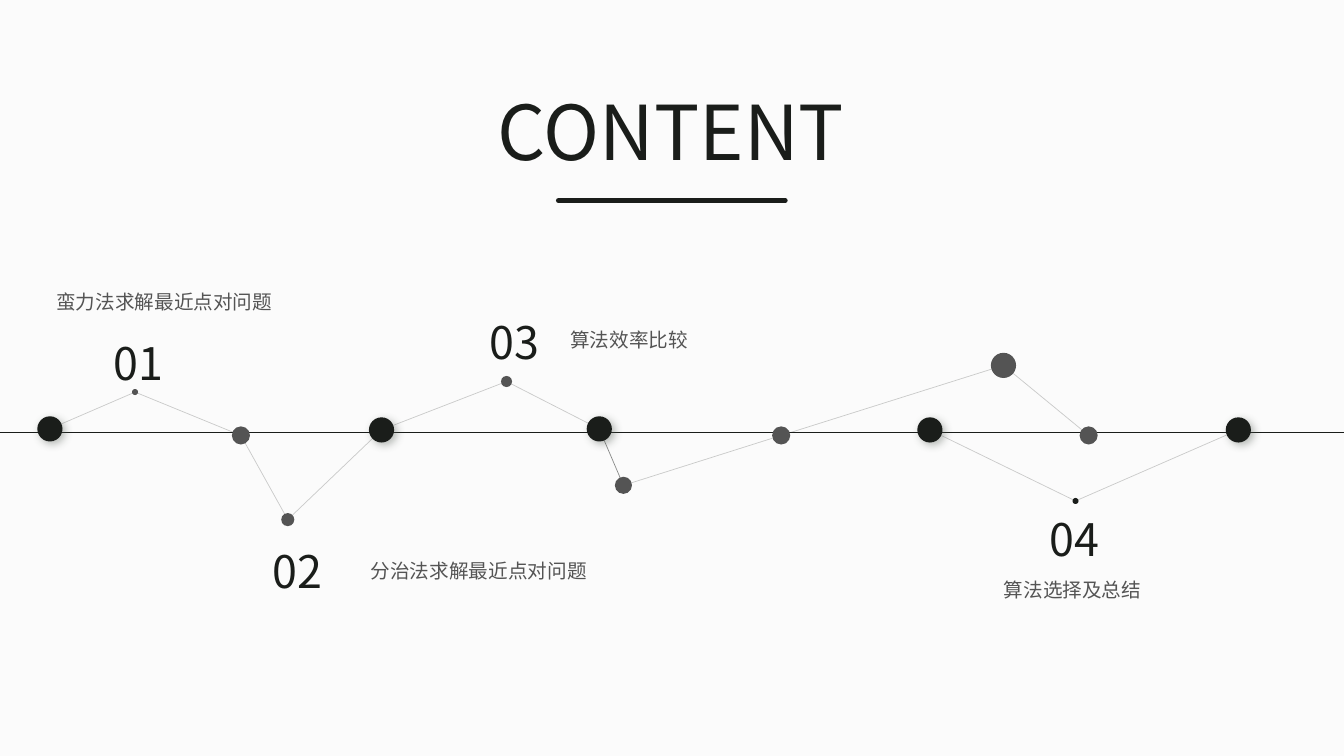
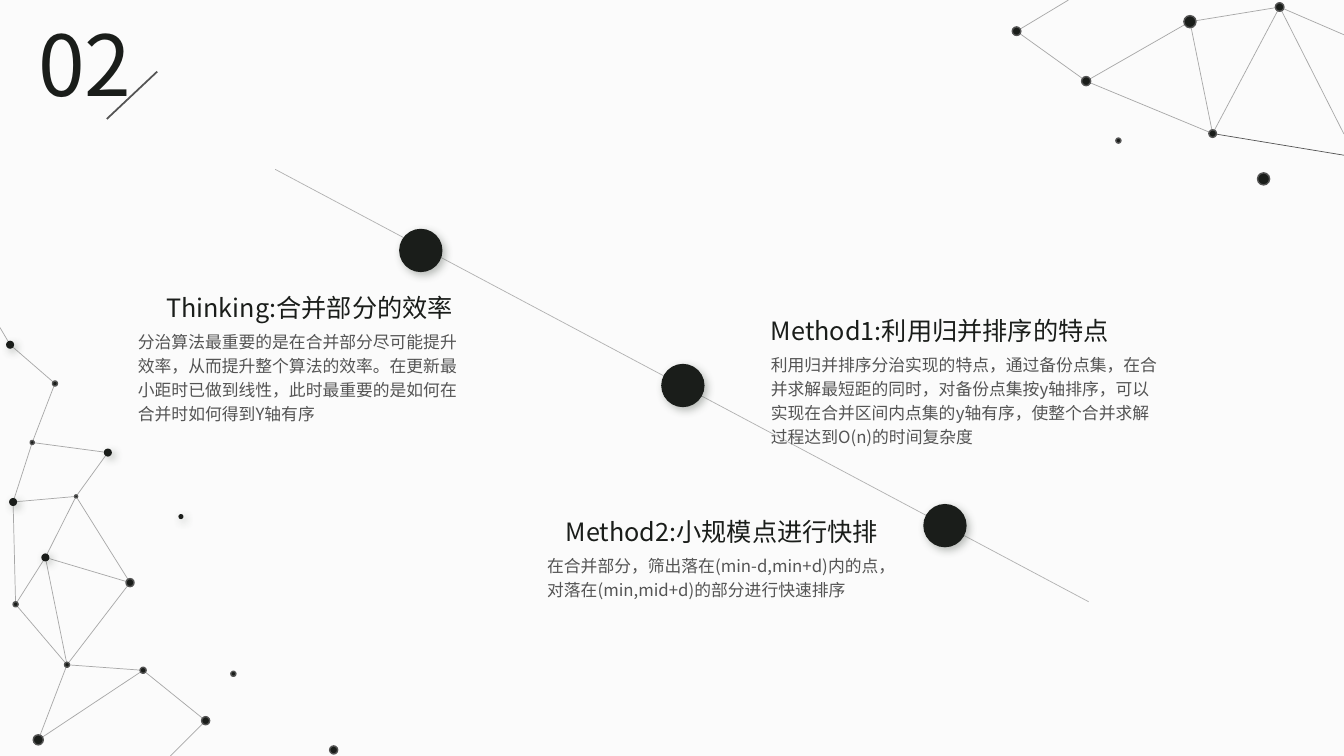
"""Build an agenda slide and a method slide of a talk on closest point pairs."""
from collections import namedtuple
from itertools import pairwise

from pptx import Presentation
from pptx import util as u
from pptx.dml.color import RGBColor
from pptx.enum import shapes, text
from pptx.oxml import ns, xmlchemy

CELL = u.Inches(0.1)
COLUMNS, ROWS = 133.33, 75
PAPER = RGBColor(0xFB, 0xFB, 0xFB)
INK = RGBColor(0x1A, 0x1D, 0x1A)
GREY = RGBColor(0x54, 0x54, 0x54)
SHADE = RGBColor(0x50, 0x59, 0x50)
FONT = "Noto Sans CJK SC"
LEFT, CENTER, RIGHT = text.PP_ALIGN.LEFT, text.PP_ALIGN.CENTER, text.PP_ALIGN.RIGHT

Box = namedtuple("Box", "left top width height")
Dot = namedtuple("Dot", "x y size style", defaults=("ringed",))


def inner(box, left, top, width, height):
    """Return a box placed relative to another one."""
    return Box(box.left + left, box.top + top, width, height)


def cells(*counts):
    """Turn counts of grid cells into lengths."""
    return [round(count * CELL) for count in counts]


def add_child(parent, tag, **attributes):
    """Append a drawing element with attributes to its parent."""
    child = xmlchemy.OxmlElement(tag)
    for name, value in attributes.items():
        child.set(name, str(value))
    parent.append(child)
    return child


def add_line(page, box, start, end, color, width, opacity=100, cap="flat"):
    """Draw a straight line between two points of the box."""
    line = page.shapes.add_connector(
        shapes.MSO_CONNECTOR.STRAIGHT,
        *cells(box.left + start[0], box.top + start[1], box.left + end[0], box.top + end[1]))
    line.line.color.rgb = color
    line.line.width = u.Pt(width)
    outline = line.line._get_or_add_ln()
    outline.set("cap", cap)
    if opacity < 100:
        add_child(outline.find(".//" + ns.qn("a:srgbClr")), "a:alpha", val=opacity * 1000)
    add_child(line._element.spPr, "a:effectLst")


def add_dot(page, box, dot):
    """Draw a dot about its centre: plain, grey, ringed or raised by a shadow."""
    shape = page.shapes.add_shape(
        shapes.MSO_SHAPE.OVAL,
        *cells(box.left + dot.x - dot.size / 2, box.top + dot.y - dot.size / 2, dot.size, dot.size))
    shape.shadow.inherit = False
    shape.fill.solid()
    shape.fill.fore_color.rgb = GREY if dot.style == "grey" else INK
    if dot.style == "ringed":
        shape.line.color.rgb = GREY
        shape.line.width = u.Pt(1)
    else:
        shape.line.fill.background()
    if dot.style == "raised":
        effects = shape._element.spPr.find(ns.qn("a:effectLst"))
        shadow = add_child(effects, "a:outerShdw", blurRad=u.Pt(6), dist=u.Pt(3),
                           dir=45 * 60000, algn="tl", rotWithShape=0)
        add_child(add_child(shadow, "a:srgbClr", val=SHADE), "a:alpha", val=40000)


def add_text(page, box, words, size, color=INK, align=LEFT, wrap=True, spacing=None):
    """Write one paragraph in a text box."""
    frame = page.shapes.add_textbox(*cells(*box)).text_frame
    frame.word_wrap = wrap
    frame.auto_size = text.MSO_AUTO_SIZE.SHAPE_TO_FIT_TEXT
    para = frame.paragraphs[0]
    para.alignment = align
    if spacing:
        para.line_spacing = spacing
    span = para.add_run()
    span.text = words
    span.font.size = u.Pt(size)
    span.font.color.rgb = color
    span.font.name = FONT
    add_child(span._r.get_or_add_rPr(), "a:ea", typeface=FONT)


def add_network(page, box, dots, chains, color, opacity, strong=()):
    """Link dots along chains of their names, then draw the dots on top."""
    for start, end in (pair for chain in chains for pair in pairwise(chain)):
        shown = dict(strong).get(start + end, opacity)
        add_line(page, box, dots[start][:2], dots[end][:2], color, 0.5, shown)
    for dot in dots.values():
        if dot.size:
            add_dot(page, box, dot)


def add_title(page, box):
    """Write the agenda title over its round-ended rule."""
    add_text(page, box, "CONTENT", 54, wrap=False)
    middle = box.width / 2
    add_line(page, box, (middle - 11.25, 12), (middle + 11.25, 12), INK, 3.5, cap="rnd")


def add_timeline(page, box):
    """Draw the zigzag of dots about a horizontal rule."""
    dots = {
        "A": Dot(4.95, 7.55, 2.5, "raised"),
        "B": Dot(13.4, 3.9, 0.6, "grey"),
        "C": Dot(23.9, 8.2, 1.8, "grey"),
        "D": Dot(28.55, 16.55, 1.3, "grey"),
        "E": Dot(37.85, 7.65, 2.5, "raised"),
        "F": Dot(50.25, 2.85, 1.1, "grey"),
        "G": Dot(59.45, 7.55, 2.5, "raised"),
        "H": Dot(61.85, 13.15, 1.7, "grey"),
        "I": Dot(77.5, 8.2, 1.8, "grey"),
        "J": Dot(99.55, 1.25, 2.5, "grey"),
        "K": Dot(108, 8.2, 1.8, "grey"),
        "L": Dot(92.25, 7.65, 2.5, "raised"),
        "M": Dot(106.7, 14.7, 0.6, "plain"),
        "N": Dot(122.85, 7.65, 2.5, "raised"),
    }
    add_line(page, box, (0, 7.9), (box.width, 7.9), INK, 0.75)
    add_network(page, box, dots, ["ABCDEFGHIJK", "LMN"], INK, 21, {"GH": 51})


def add_entry(page, box, number, topic, offset, width):
    """Write an agenda number and its topic at an offset from it."""
    add_text(page, box, number, 32, align=CENTER)
    add_text(page, inner(box, *offset, width, 3.4), topic, 14, GREY, wrap=False)


def add_corner_net(page, box):
    """Draw the net that runs off the top right corner."""
    edge = box.width
    dots = {
        "A": Dot(0.85, 3.1, 0.85),
        "B": Dot(7.75, 8.05, 0.9),
        "C": Dot(18.05, 2.15, 1.2),
        "D": Dot(26.95, 0.7, 0.85),
        "E": Dot(20.3, 13.25, 0.75),
        "F": Dot(25.35, 17.75, 1.2),
        "G": Dot(10.95, 13.95, 0.5),
        "P": Dot(6, 0, 0),
        "Q": Dot(edge, 3.45, 0),
        "R": Dot(edge, 13.3, 0),
        "S": Dot(edge, 15.4, 0),
    }
    add_network(page, box, dots, ["PABCDQ", "RDECB"[:3], "CEB", "ES"], GREY, 50, {"ES": 100})


def add_side_net(page, box):
    """Draw the net that climbs the left edge."""
    dots = {
        "A": Dot(1, 2.2, 0.8, "raised"),
        "B": Dot(5.45, 6.05, 0.5),
        "C": Dot(3.2, 11.9, 0.4),
        "D": Dot(10.7, 12.9, 0.8, "raised"),
        "E": Dot(1.3, 17.8, 0.8, "raised"),
        "F": Dot(7.55, 17.25, 0.3),
        "G": Dot(4.5, 23.3, 0.8, "raised"),
        "H": Dot(1.55, 27.95, 0.5),
        "I": Dot(12.9, 25.8, 0.8),
        "J": Dot(6.65, 33.95, 0.5),
        "K": Dot(14.2, 34.5, 0.6),
        "L": Dot(20.4, 39.5, 0.8),
        "M": Dot(3.8, 41.4, 1),
        "N": Dot(17.95, 19.25, 0.5, "raised"),
        "O": Dot(33.1, 42.4, 0.8),
        "P": Dot(23.15, 34.85, 0.5),
        "Q": Dot(0, 0.5, 0),
        "R": Dot(16.9, box.height, 0),
    }
    chains = ["QABCDFGHJKLR", "CEFIJG", "EH", "GI", "JMK"]
    add_network(page, box, dots, chains, GREY, 50)


def add_diagonal(page, box):
    """Draw the falling line with its three large dots."""
    add_line(page, box, (0, 0), (box.width, box.height), GREY, 0.5, 43)
    for x, y in ((14.45, 8.05), (40.45, 21.45), (66.45, 35.35)):
        add_dot(page, box, Dot(x, y, 4.3, "raised"))


def add_note(page, box, heading, body, heading_width, align):
    """Write a heading with its explanation below."""
    add_text(page, inner(box, 0, 0, heading_width, 4), heading, 18, align=align)
    add_text(page, inner(box, 0, 3.5, box.width, box.height - 3.5), body, 12, GREY, spacing=1.2)


def add_section_number(page, box, number):
    """Write the section number with a slanted stroke at its foot."""
    add_text(page, box, number, 60)
    add_line(page, box, (12.8, 6.4), (7.8, 11.1), GREY, 1.25)


def add_page(deck):
    """Add a blank page on the paper colour."""
    page = deck.slides.add_slide(deck.slide_layouts[6])
    page.background.fill.solid()
    page.background.fill.fore_color.rgb = PAPER
    return page


def add_agenda(deck):
    """Build the agenda slide."""
    page = add_page(deck)
    add_title(page, Box(48.4, 7.9, 36.5, 10.1))
    add_timeline(page, Box(0, 35, COLUMNS, 17))
    entries = (
        (4.1, 32.8, "01", "蛮力法求解最近点对问题", (0.5, -4.5), 23.6),
        (19.9, 53.4, "02", "分治法求解最近点对问题", (15.9, 1.6), 23.6),
        (41.4, 30.7, "03", "算法效率比较", (14.2, 1.3), 13.8),
        (96.9, 50.3, "04", "算法选择及总结", (1.7, 6.5), 15.8),
    )
    for left, top, *entry in entries:
        add_entry(page, Box(left, top, 19.3, 6.4), *entry)


def add_methods(deck):
    """Build the slide on merging in divide and conquer."""
    page = add_page(deck)
    add_diagonal(page, Box(27.3, 16.8, 80.7, 42.9))
    add_corner_net(page, Box(100, 0, COLUMNS - 100, 19))
    add_side_net(page, Box(0, 32, 34, ROWS - 32))
    notes = (
        (Box(12.7, 28.5, 35.1, 14), "Thinking:合并部分的效率",
         "分治算法最重要的是在合并部分尽可能提升效率，从而提升整个算法的效率。"
         "在更新最小距时已做到线性，此时最重要的是如何在合并时如何得到Y轴有序", 33.2, RIGHT),
        (Box(75.5, 30.75, 40.6, 14), "Method1:利用归并排序的特点",
         "利用归并排序分治实现的特点，通过备份点集，在合并求解最短距的同时，"
         "对备份点集按y轴排序，可以实现在合并区间内点集的y轴有序，"
         "使整个合并求解过程达到O(n)的时间复杂度", 37.8, LEFT),
        (Box(53.3, 50.7, 35.1, 9.1), "Method2:小规模点进行快排",
         "在合并部分，筛出落在(min-d,min+d)内的点，"
         "对落在(min,mid+d)的部分进行快速排序", 34.8, RIGHT),
    )
    for note in notes:
        add_note(page, *note)
    add_section_number(page, Box(2.8, 0.7, 11.4, 11.1), "02")


def main():
    """Build and save the deck."""
    deck = Presentation()
    deck.slide_width, deck.slide_height = cells(COLUMNS, ROWS)
    add_agenda(deck)
    add_methods(deck)
    deck.save("out.pptx")


if __name__ == "__main__":
    main()
